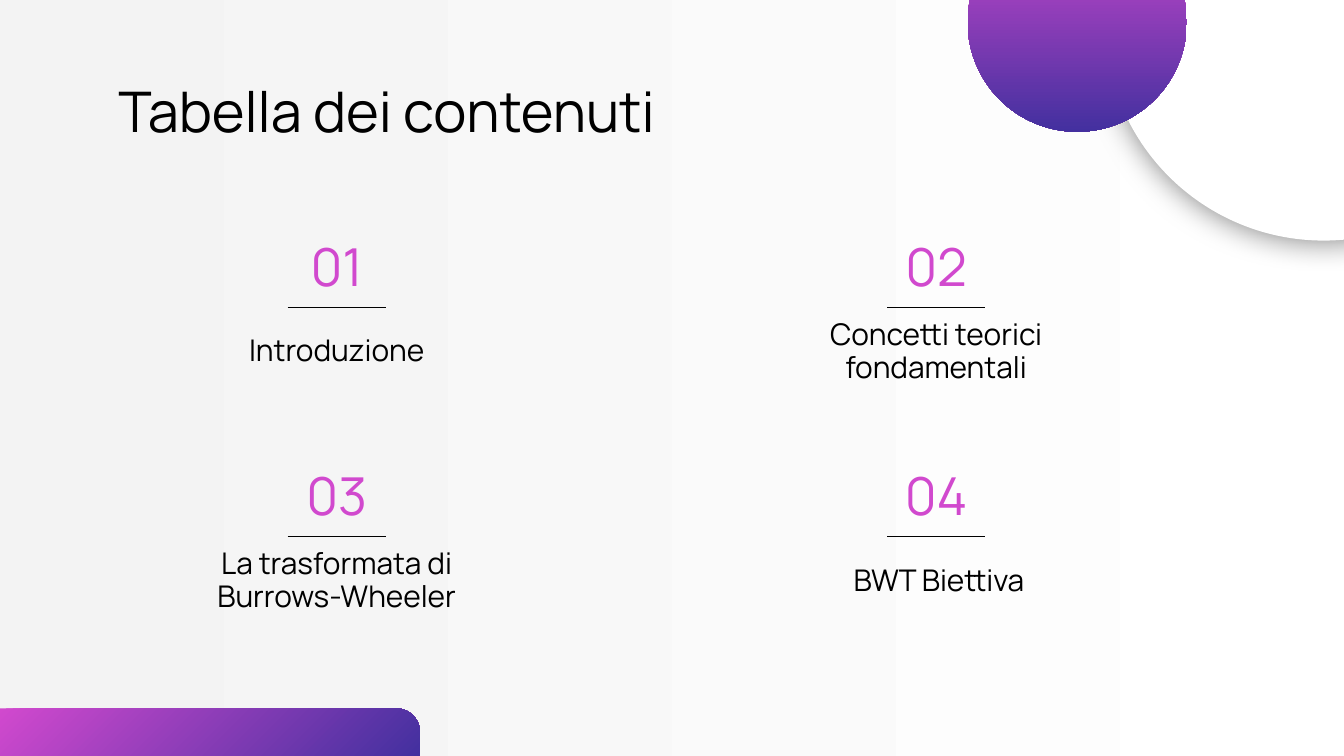
from dataclasses import dataclass

import pptx
import pptx.dml.color
import pptx.enum.shapes
import pptx.enum.text
import pptx.oxml
import pptx.oxml.ns
import pptx.util

Pt = pptx.util.Pt
Shape = pptx.enum.shapes.MSO_SHAPE
Align = pptx.enum.text.PP_ALIGN


@dataclass(frozen=True)
class Theme:
    font: str = "Manrope"
    ink: str = "000000"
    accent: str = "D149CE"
    deep: str = "43309F"
    paper: str = "FFFFFF"
    mist: str = "F3F3F3"
    title_size: float = 30
    number_size: float = 28
    topic_size: float = 16


def rgb(color):
    return pptx.dml.color.RGBColor.from_string(color)


def set_gradient(fill, start, end, clockwise_angle):
    fill.gradient()
    fill.gradient_angle = 360 - clockwise_angle
    for stop, color in zip(fill.gradient_stops, (start, end)):
        stop.color.rgb = rgb(color)


class SlideBuilder:
    def __init__(self, slide, theme):
        self.slide = slide
        self.theme = theme

    def background(self, start, end, angle):
        set_gradient(self.slide.background.fill, start, end, angle)

    def shape(self, kind, left, top, width, height):
        shape = self.slide.shapes.add_shape(
            kind, Pt(left), Pt(top), Pt(width), Pt(height))
        shape.shadow.inherit = False
        shape.line.fill.background()
        return shape

    def gradient_shape(self, kind, left, top, width, height, angle):
        shape = self.shape(kind, left, top, width, height)
        set_gradient(shape.fill, self.theme.accent, self.theme.deep, angle)
        return shape

    def glowing_circle(self, left, top, diameter, blur):
        """Add a paper-coloured circle with a soft shadow on all sides."""
        circle = self.shape(Shape.OVAL, left, top, diameter, diameter)
        circle.fill.solid()
        circle.fill.fore_color.rgb = rgb(self.theme.paper)
        effects = circle._element.spPr.find(pptx.oxml.ns.qn("a:effectLst"))
        effects.append(pptx.oxml.parse_xml(
            f'<a:outerShdw {pptx.oxml.ns.nsdecls("a")} blurRad="{Pt(blur)}" '
            'dist="0" dir="0" algn="ctr" rotWithShape="0">'
            f'<a:srgbClr val="{self.theme.ink}"><a:alpha val="50000"/></a:srgbClr>'
            '</a:outerShdw>'))

    def title(self, text, left, top, width, height):
        title = self.slide.shapes.title
        title.left, title.top = Pt(left), Pt(top)
        title.width, title.height = Pt(width), Pt(height)
        self.set_text(title, text, self.theme.title_size, self.theme.ink, Align.LEFT)

    def text(self, text, left, top, width, height, size, color):
        box = self.slide.shapes.add_textbox(
            Pt(left), Pt(top), Pt(width), Pt(height))
        self.set_text(box, text, size, color, Align.CENTER)

    def set_text(self, shape, text, size, color, alignment):
        frame = shape.text_frame
        frame.text = text
        frame.word_wrap = True
        frame.auto_size = pptx.enum.text.MSO_AUTO_SIZE.NONE
        frame.vertical_anchor = pptx.enum.text.MSO_ANCHOR.MIDDLE
        frame.margin_left = frame.margin_right = Pt(7.2)
        frame.margin_top = frame.margin_bottom = Pt(7.2)
        paragraph = frame.paragraphs[0]
        paragraph.alignment = alignment
        paragraph.line_spacing = 0.9
        for run in paragraph.runs:
            run.font.name = self.theme.font
            run.font.size = Pt(size)
            run.font.color.rgb = rgb(color)

    def rule(self, left, top, width):
        line = self.slide.shapes.add_connector(
            pptx.enum.shapes.MSO_CONNECTOR.STRAIGHT,
            Pt(left), Pt(top), Pt(left + width), Pt(top))
        line.line.color.rgb = rgb(self.theme.ink)
        line.line.width = Pt(0.75)
        line._element.spPr.append(pptx.oxml.parse_xml(
            f'<a:effectLst {pptx.oxml.ns.nsdecls("a")}/>'))

    def entry(self, number, topic, center, top):
        """Add a number, a rule and a topic, centred under each other."""
        number_width, topic_width, height = 52.6, 163.4, 28.1
        number_left = center - number_width / 2
        self.text(number, number_left, top, number_width, height,
                  self.theme.number_size, self.theme.accent)
        self.rule(number_left, top + 34.4, number_width)
        self.text(topic, center - topic_width / 2, top + 44.4, topic_width, height,
                  self.theme.topic_size, self.theme.ink)


def main():
    presentation = pptx.Presentation()
    presentation.slide_width, presentation.slide_height = Pt(720), Pt(405)
    theme = Theme()
    slide = presentation.slides.add_slide(presentation.slide_layouts[5])
    builder = SlideBuilder(slide, theme)

    builder.background(theme.paper, theme.mist, 180)
    bar = builder.gradient_shape(
        Shape.ROUND_1_RECTANGLE, 0, 379.5, 225, 25.5, 45)
    bar.adjustments[0] = 0.5
    builder.title("Tabella dei contenuti", 56.2, 42.5, 607.6, 37.4)
    builder.glowing_circle(591.8, -105.8, 234.7, blur=16.9)
    builder.gradient_shape(Shape.OVAL, 518.4, -46.8, 117.4, 117.4, 90)

    topics = ["Introduzione", "Concetti teorici fondamentali",
              "La trasformata di Burrows-Wheeler", " BWT Biettiva"]
    for index, topic in enumerate(topics):
        row, column = divmod(index, 2)
        builder.entry(f"{index + 1:02}", topic,
                      center=180.4 + column * 321.1, top=130.3 + row * 122.7)

    presentation.save("out.pptx")


if __name__ == "__main__":
    main()
